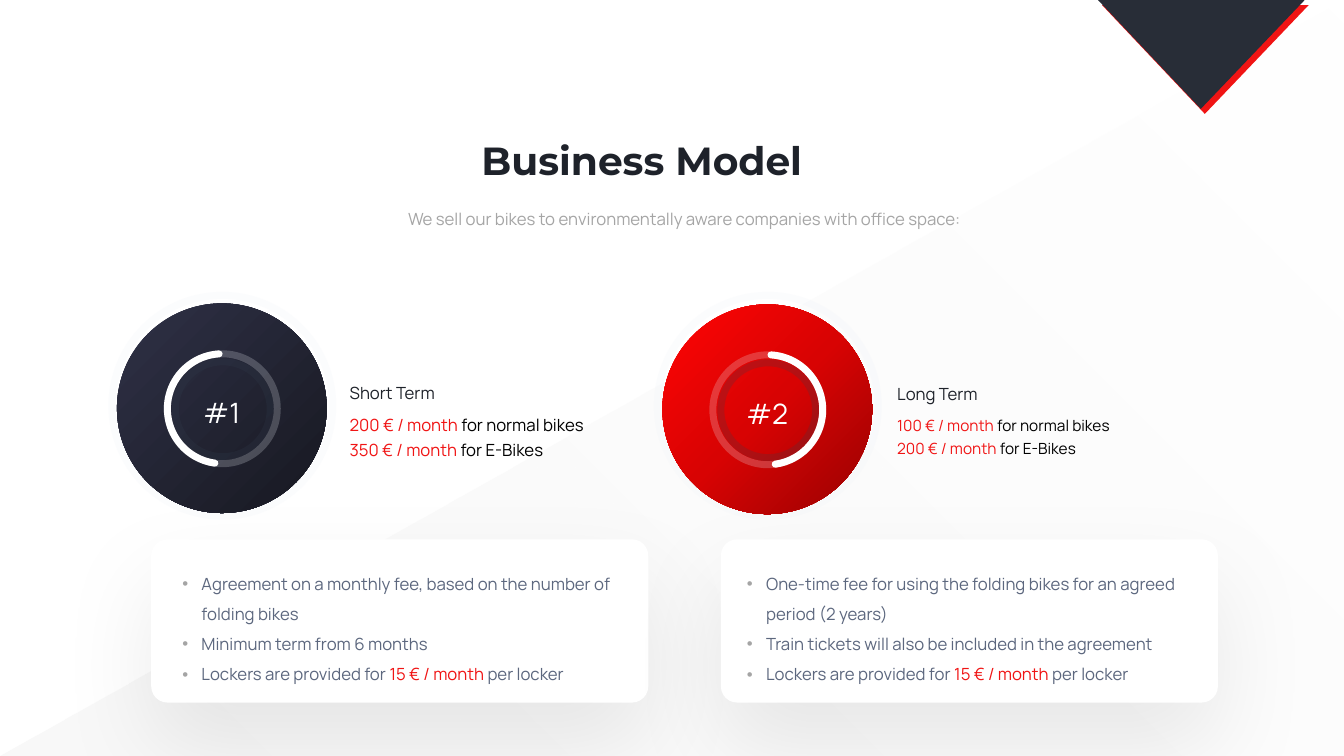
from lxml.etree import SubElement
from pptx import Presentation
from pptx.dml.color import RGBColor
from pptx.enum.shapes import MSO_SHAPE
from pptx.enum.text import MSO_ANCHOR, MSO_AUTO_SIZE, PP_ALIGN
from pptx.oxml.ns import qn
from pptx.util import Pt

EMU_PER_PX = 9144
BODY_FONT = "Manrope"
TITLE_FONT = "Montserrat"
RED, INK, BLACK, WHITE = "F01414", "1E222A", "000000", "FFFFFF"
GREY, SLATE, HALO = "A5A5A5", "5C677E", "EEF2F9"


def px(length):
    return int(length * EMU_PER_PX)


def color(value):
    return RGBColor.from_string(value)


def add_color(parent, value, alpha=100):
    element = SubElement(parent, qn("a:srgbClr"), val=value)
    if alpha < 100:
        SubElement(element, qn("a:alpha"), val=str(alpha * 1000))
    return element


def add_plain_shape(slide, kind, box, fill=None, flip=False):
    shape = slide.shapes.add_shape(kind, *map(px, box))
    shape.shadow.inherit = False
    shape.line.fill.background()
    if fill:
        shape.fill.solid()
        shape.fill.fore_color.rgb = color(fill)
    else:
        shape.fill.background()
    if flip:
        shape._element.spPr.find(qn("a:xfrm")).set("flipH", "1")
    return shape


def set_gradient(shape, stops, angle=45):
    properties = shape._element.spPr
    empty_fill = properties.find(qn("a:noFill"))
    gradient = SubElement(properties, qn("a:gradFill"), rotWithShape="1")
    stop_list = SubElement(gradient, qn("a:gsLst"))
    for position, value, alpha in stops:
        stop = SubElement(stop_list, qn("a:gs"), pos=str(position * 1000))
        add_color(stop, value, alpha)
    SubElement(gradient, qn("a:lin"), ang=str(angle * 60000), scaled="0")
    properties.replace(empty_fill, gradient)


def add_ring(slide, kind, box, value, alpha=100, flip=False):
    ring = add_plain_shape(slide, kind, box, flip=flip)
    ring.line.width = Pt(5)
    ring.line.color.rgb = color(value)
    line = ring.line._get_or_add_ln()
    line.set("cap", "rnd")
    if alpha < 100:
        SubElement(next(line.iter(qn("a:srgbClr"))), qn("a:alpha"), val=str(alpha * 1000))
    return ring


def add_card(slide, left):
    card = add_plain_shape(slide, MSO_SHAPE.ROUNDED_RECTANGLE, (left, 535, 493, 162), WHITE)
    card.adjustments[0] = 0.1
    effects = card._element.spPr.find(qn("a:effectLst"))
    shadow = SubElement(effects, qn("a:outerShdw"), blurRad=str(Pt(69)), dist=str(Pt(31)),
                        dir="5400000", algn="t", rotWithShape="0")
    add_color(shadow, BLACK, 8)


def add_pennant(slide, left, top, fill):
    builder = slide.shapes.build_freeform(left, top, scale=EMU_PER_PX)
    builder.add_line_segments([(left + 205, top), (left + 102, top + 108)], close=True)
    pennant = builder.convert_to_shape()
    pennant.shadow.inherit = False
    pennant.fill.solid()
    pennant.fill.fore_color.rgb = color(fill)
    pennant.line.fill.background()


def prepare_frame(shape):
    frame = shape.text_frame
    frame.word_wrap = True
    frame.auto_size = MSO_AUTO_SIZE.NONE
    frame.vertical_anchor = MSO_ANCHOR.TOP
    frame.margin_left = frame.margin_right = px(10)
    frame.margin_top = frame.margin_bottom = px(5)
    return frame


def add_bullet(paragraph):
    properties = paragraph._p.get_or_add_pPr()
    properties.set("marL", str(px(19)))
    properties.set("indent", str(px(-19)))
    add_color(SubElement(properties, qn("a:buClr")), GREY)
    SubElement(properties, qn("a:buFont"), typeface="Arial")
    SubElement(properties, qn("a:buChar"), char="•")


def add_text(slide, box, paragraphs, size, align=PP_ALIGN.LEFT, spacing=1.0, after=0, bullets=False):
    frame = prepare_frame(slide.shapes.add_textbox(*map(px, box)))
    for index, pieces in enumerate(paragraphs):
        paragraph = frame.add_paragraph() if index else frame.paragraphs[0]
        if bullets:
            add_bullet(paragraph)
        paragraph.alignment = align
        paragraph.line_spacing = spacing
        paragraph.space_after = Pt(after)
        for words, value in pieces:
            run = paragraph.add_run()
            run.text = words
            run.font.name = BODY_FONT
            run.font.size = Pt(size)
            run.font.color.rgb = color(value)


def format_title(slide):
    title = slide.shapes.title
    title.left, title.top, title.width, title.height = map(px, (342, 130, 589, 57))
    frame = prepare_frame(title)
    frame.text = "Business Model"
    paragraph = frame.paragraphs[0]
    paragraph.alignment = PP_ALIGN.CENTER
    paragraph.line_spacing = 1.0
    font = paragraph.runs[0].font
    font.name, font.size, font.bold = TITLE_FONT, Pt(28), True
    font.color.rgb = color(INK)


def add_badge(slide, left, top, label, stops, flip):
    disc = add_plain_shape(slide, MSO_SHAPE.OVAL, (left, top, 208, 208))
    set_gradient(disc, stops)
    add_text(slide, (left + 53, top + 80, 102, 48), [[(label, WHITE)]], 20, PP_ALIGN.CENTER, 1.2)
    dial = (left + 50, top + 50, 109, 109)
    add_ring(slide, MSO_SHAPE.OVAL, (left + 58, top + 58, 94, 94), "323F4F", 21)
    add_ring(slide, MSO_SHAPE.OVAL, dial, HALO, 21)
    arc = add_ring(slide, MSO_SHAPE.ARC, dial, WHITE, flip=flip)
    arc.adjustments[0] = 58.66
    arc.adjustments[1] = 159.99


def add_offer(slide, left, top, name, prices, size):
    add_text(slide, (left, top, 291, 30), [[(name, INK)]], 12)
    rows = [[(price, RED), (purpose, BLACK)] for price, purpose in prices]
    add_text(slide, (left, top + 32, 283, 50), rows, size, after=3)


def add_terms(slide, left, width, terms):
    rows = [[(term, SLATE)] for term in terms]
    rows.append([("Lockers are provided for ", SLATE), ("15 € / month", RED), (" per locker", SLATE)])
    add_text(slide, (left, 554, width, 128), rows, 12, spacing=1.5, bullets=True)


def main():
    presentation = Presentation()
    presentation.slide_width, presentation.slide_height = px(1333), px(750)
    slide = presentation.slides.add_slide(presentation.slide_layouts[5])
    format_title(slide)

    backdrop = add_plain_shape(slide, MSO_SHAPE.RIGHT_TRIANGLE, (0, 0, 1333, 750), flip=True)
    set_gradient(backdrop, [(0, "F2F2F2", 0), (100, "F2F2F2", 50)])
    for left in (111, 652):
        add_ring(slide, MSO_SHAPE.OVAL, (left, 293, 219, 219), HALO, 21)
    for left in (150, 715):
        add_card(slide, left)
    add_pennant(slide, 1093, 5, RED)
    add_pennant(slide, 1089, 0, "282D37")

    add_offer(slide, 337, 375, "Short Term", [("200 € / month ", "for normal bikes"),
                                              ("350 € / month ", "for E-Bikes")], 12)
    add_offer(slide, 880, 376, "Long Term", [("100 € / month ", "for normal bikes"),
                                             ("200 € / month ", "for E-Bikes")], 11)
    add_terms(slide, 171, 465, ["Agreement on a monthly fee, based on the number of folding bikes",
                                "Minimum term from 6 months"])
    add_terms(slide, 731, 481, ["One-time fee for using the folding bikes for an agreed period (2 years)",
                                "Train tickets will also be included in the agreement"])

    add_badge(slide, 116, 301, "#1", [(0, "2F3146", 100), (100, "171821", 100)], False)
    add_badge(slide, 657, 302, "#2", [(0, "FF0505", 100), (50, "D80303", 100),
                                      (100, "980202", 100)], True)
    add_text(slide, (148, 192, 1062, 98),
             [[("We sell our bikes to environmentally aware companies with office space:", GREY)]],
             12, PP_ALIGN.CENTER, 1.5)
    presentation.save("out.pptx")


if __name__ == "__main__":
    main()
